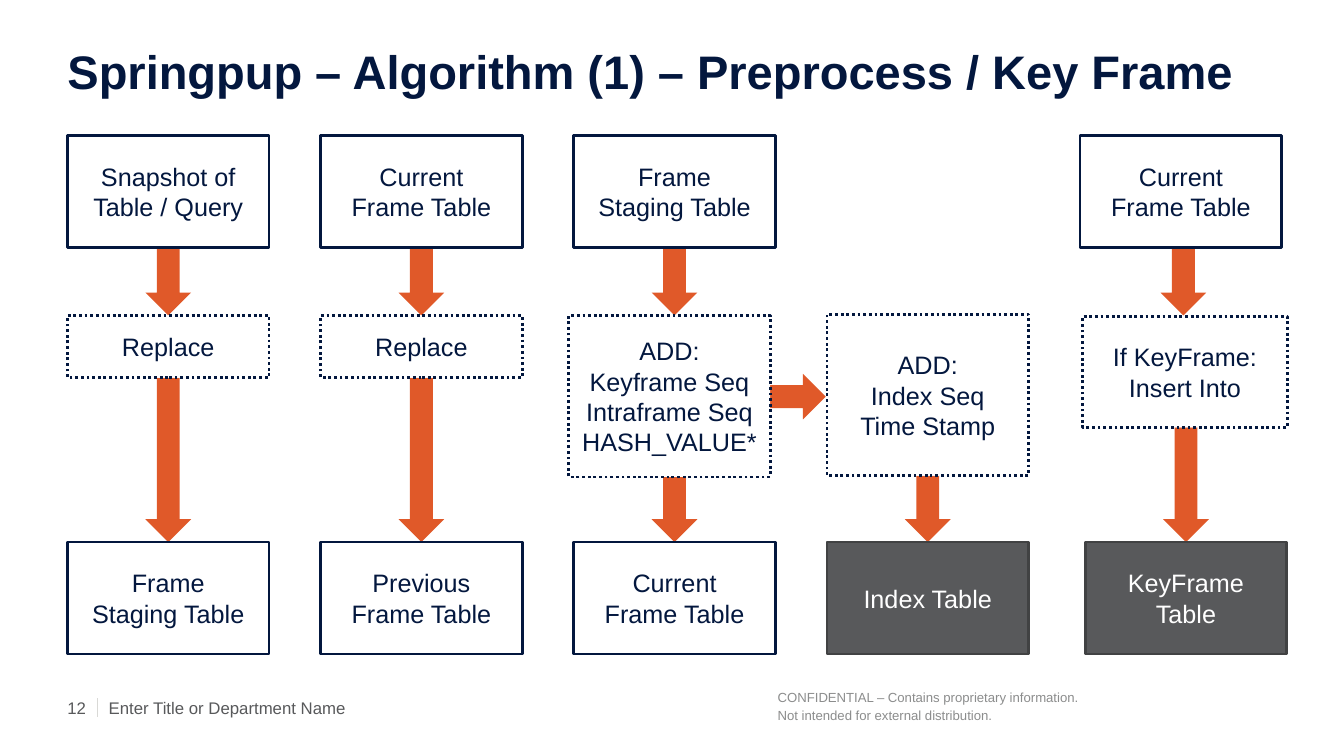
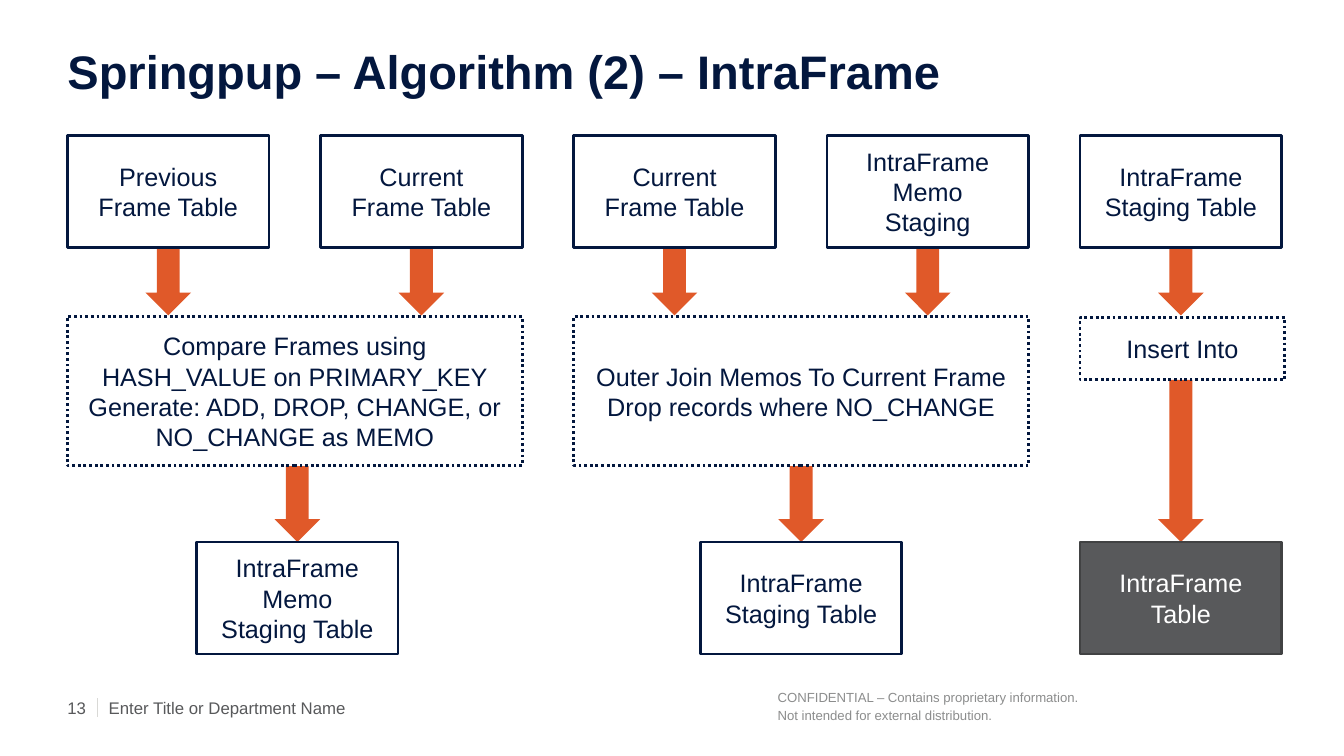
from dataclasses import dataclass

from lxml.etree import SubElement
from pptx import Presentation
from pptx.dml.color import RGBColor
from pptx.enum.dml import MSO_LINE
from pptx.enum.shapes import MSO_CONNECTOR, MSO_SHAPE
from pptx.enum.text import MSO_ANCHOR, MSO_AUTO_SIZE, PP_ALIGN
from pptx.oxml.ns import qn
from pptx.util import Cm, Pt


@dataclass(frozen=True)
class Theme:
    font: str = "Arial"
    navy: str = "03173E"
    white: str = "FFFFFF"
    orange: str = "E05929"
    gray: str = "58595B"
    edge: str = "414243"
    pale: str = "8C8D8D"
    rule: str = "D9D9D6"
    title: float = 33.6
    body: float = 18
    foot: float = 12
    small: float = 9.33


theme = Theme()

# Grid, in centimetres
LEFT, STEP = 1.7, 6.38
WIDE, HIGH = 5.08, 2.82
TOP, MID, LOW = 3.42, 7.95, 13.66
ARROW = 1.15

# Box styles: fill, line, text, dash
PLAIN = (theme.white, theme.navy, theme.navy, None)
DOTTED = (theme.white, theme.navy, theme.navy, MSO_LINE.ROUND_DOT)
DARK = (theme.gray, theme.edge, theme.white, None)

# Columns may be fractional. A step is (column, top, width, height, text);
# each result stands below the step with the same index.
SLIDES = [
    {
        "title": "Springpup – Algorithm (1) – Preprocess / Key Frame",
        "inputs": [
            (0, "Snapshot of\nTable / Query"),
            (1, "Current\nFrame Table"),
            (2, "Frame\vStaging Table"),
            (4, "Current\nFrame Table"),
        ],
        "drops": [0, 1, 2, 4.01],
        "steps": [
            (0, MID, WIDE, 1.57, "Replace"),
            (1, MID, WIDE, 1.57, "Replace"),
            (1.98, MID, WIDE, 4.07,
             "ADD:\nKeyframe Seq\nIntraframe Seq\nHASH_VALUE*"),
            (3, 7.92, WIDE, 4.07, "ADD:\nIndex Seq\nTime Stamp"),
            (4.01, 7.98, 5.16, 2.79, "If KeyFrame:\nInsert Into"),
        ],
        "results": [
            (0, PLAIN, "Frame\vStaging Table"),
            (1, PLAIN, "Previous\nFrame Table"),
            (2, PLAIN, "Current\nFrame Table"),
            (3, DARK, "Index Table"),
            (4.02, DARK, "KeyFrame\nTable"),
        ],
        "across": [(19.41, 9.42, 1.4)],
    },
    {
        "title": "Springpup – Algorithm (2) – IntraFrame",
        "inputs": [
            (0, "Previous\nFrame Table"),
            (1, "Current\nFrame Table"),
            (2, "Current\nFrame Table"),
            (3, "IntraFrame Memo\nStaging"),
            (4, "IntraFrame\nStaging Table"),
        ],
        "drops": [0, 1, 2, 3, 4],
        "steps": [
            (0, 7.98, 11.46, 3.76,
             "Compare Frames using HASH_VALUE on PRIMARY_KEY\n"
             "Generate: ADD, DROP, CHANGE, or NO_CHANGE as MEMO"),
            (2, 7.98, 11.46, 3.76,
             "Outer Join Memos To Current Frame\nDrop records where NO_CHANGE"),
            (4, 8, 5.16, 1.57, "Insert Into"),
        ],
        "results": [
            (0.51, PLAIN, "IntraFrame Memo\nStaging Table"),
            (2.5, PLAIN, "IntraFrame\nStaging Table"),
            (4, DARK, "IntraFrame\nTable"),
        ],
        "across": [],
    },
]

# Footer texts: left, top, width, height, wrap, anchor, size, colour, spacing
NOTICE = ("CONFIDENTIAL – Contains proprietary information.\n"
          "Not intended for external distribution.")
FOOTER = [
    (19.6, 17.34, 8.69, 0.91, True, MSO_ANCHOR.TOP,
     theme.small, theme.pale, 1.1, NOTICE),
    (1.7, 17.48, 0.91, 0.69, False, MSO_ANCHOR.MIDDLE,
     theme.foot, theme.gray, 1, "{page}"),
    (2.74, 17.48, 12.55, 0.69, False, MSO_ANCHOR.MIDDLE,
     theme.foot, theme.gray, 1, "Enter Title or Department Name"),
]


def write(frame, text, size, color, align=PP_ALIGN.LEFT, bold=False, space=1):
    frame.text = text
    for para in frame.paragraphs:
        para.alignment = align
        para.line_spacing = space
        para.font.name = theme.font
        para.font.size = Pt(size)
        para.font.bold = bold
        para.font.color.rgb = RGBColor.from_string(color)


def draw(slide, kind, box, fill, line=None, dash=None):
    """Add a flat preset shape; box is left, top, width, height in cm."""
    shape = slide.shapes.add_shape(kind, *map(Cm, box))
    shape.shadow.inherit = False
    shape.fill.solid()
    shape.fill.fore_color.rgb = RGBColor.from_string(fill)
    if line:
        shape.line.color.rgb = RGBColor.from_string(line)
        shape.line.width = Pt(2)
        if dash:
            shape.line.dash_style = dash
    else:
        shape.line.fill.background()
    return shape


prs = Presentation()
prs.slide_width, prs.slide_height = Cm(33.87), Cm(19.05)

for page, data in enumerate(SLIDES, start=12):
    slide = prs.slides.add_slide(prs.slide_layouts[5])

    title = slide.shapes.title
    title.left, title.top = Cm(LEFT), Cm(0.92)
    title.width, title.height = Cm(30.48), Cm(1.57)
    frame = title.text_frame
    frame.margin_left = frame.margin_right = 0
    frame.margin_top = frame.margin_bottom = 0
    frame.auto_size = MSO_AUTO_SIZE.NONE
    frame.vertical_anchor = MSO_ANCHOR.BOTTOM
    write(frame, data["title"], theme.title, theme.navy, bold=True)

    for x, y, w, h, wrap, anchor, size, color, space, text in FOOTER:
        frame = slide.shapes.add_textbox(Cm(x), Cm(y), Cm(w), Cm(h)).text_frame
        frame.margin_left = frame.margin_right = 0
        frame.margin_top = frame.margin_bottom = 0
        frame.word_wrap = wrap
        frame.vertical_anchor = anchor
        write(frame, text.format(page=page), size, color, space=space)

    rule = slide.shapes.add_connector(
        MSO_CONNECTOR.STRAIGHT, Cm(2.46), Cm(17.6), Cm(2.46), Cm(18.06))
    rule.line.color.rgb = RGBColor.from_string(theme.rule)
    rule.line.width = Pt(0.75)
    SubElement(rule._element.spPr, qn("a:effectLst"))

    # Arrows go behind the boxes
    spans = [(col, TOP + HIGH, MID) for col in data["drops"]]
    for step, result in zip(data["steps"], data["results"]):
        spans.append((result[0], step[1] + step[3], LOW))
    for col, start, end in spans:
        x = LEFT + col * STEP + (WIDE - ARROW) / 2
        draw(slide, MSO_SHAPE.DOWN_ARROW, (x, start, ARROW, end - start),
             theme.orange)
    for x, y, length in data["across"]:
        draw(slide, MSO_SHAPE.RIGHT_ARROW, (x, y, length, ARROW), theme.orange)

    boxes = [(col, TOP, WIDE, HIGH, text, PLAIN) for col, text in data["inputs"]]
    boxes += [(*step, DOTTED) for step in data["steps"]]
    boxes += [(col, LOW, WIDE, HIGH, text, style)
              for col, style, text in data["results"]]
    for col, y, w, h, text, (fill, line, color, dash) in boxes:
        box = draw(slide, MSO_SHAPE.RECTANGLE, (LEFT + col * STEP, y, w, h),
                   fill, line, dash)
        box.text_frame.word_wrap = True
        box.text_frame.vertical_anchor = MSO_ANCHOR.MIDDLE
        write(box.text_frame, text, theme.body, color, PP_ALIGN.CENTER)

prs.save("out.pptx")
